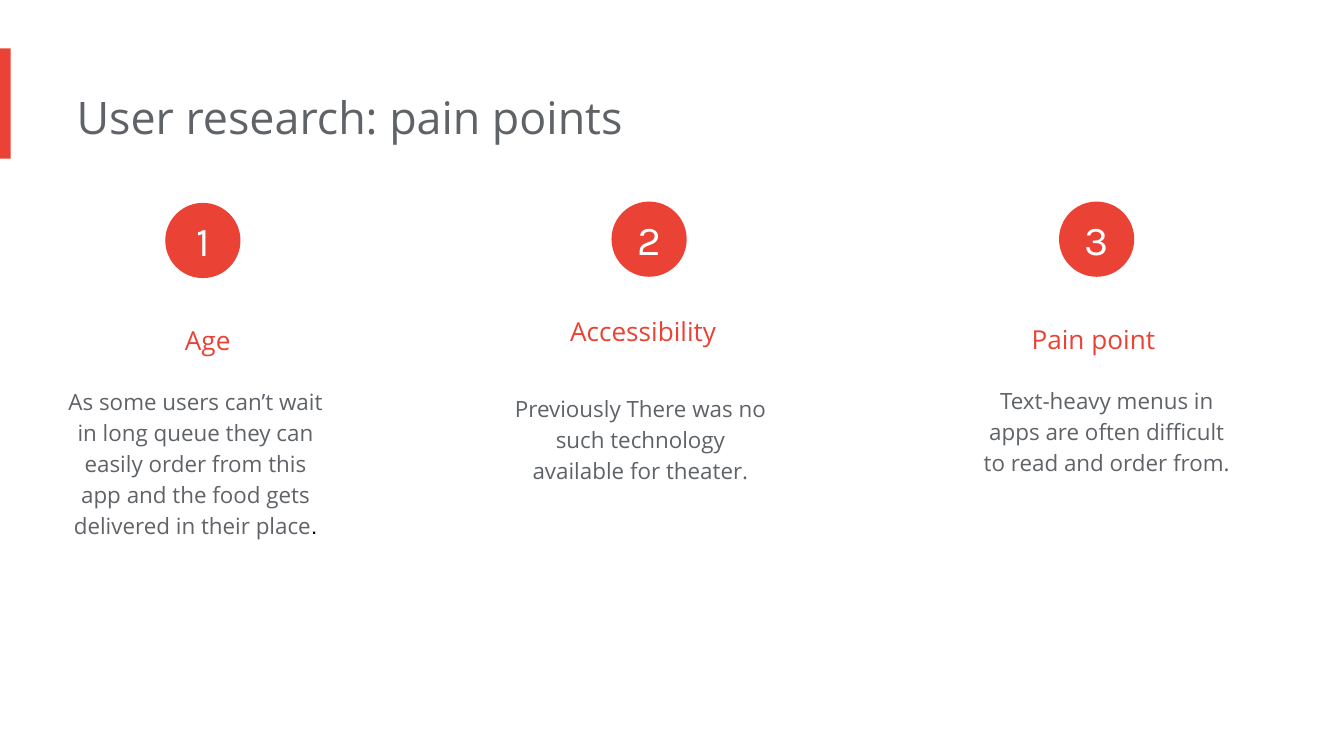
from pptx import Presentation
from pptx.dml.color import RGBColor
from pptx.enum.shapes import MSO_SHAPE as Shape
from pptx.enum.text import MSO_ANCHOR as Anchor, MSO_AUTO_SIZE as AutoSize, PP_ALIGN as Align
from pptx.util import Inches, Pt

COLORS = {"accent": "EA4335", "body": "5F6368", "white": "FFFFFF", "black": "000000"}
SLIDE_WIDTH = Inches(10)
SLIDE_HEIGHT = SLIDE_WIDTH * 9 // 16
COLUMN_WIDTH = 2.05
BADGE_SIZE = 0.56

# Heading and body: text, left, top, height; badge: left, top.
PAIN_POINTS = [
    {"heading": ("Age", 0.57, 2.2, 0.56),
     "body": ("As some users can’t wait in long queue they can easily order from "
              "this app and the food gets delivered in their place", 0.48, 2.76, 1.36),
     "badge": (1.23, 1.51), "ending": "."},
    {"heading": ("Accessibility", 3.81, 2.13, 0.56),
     "body": ("Previously There was no such technology available for theater.",
              3.79, 2.81, 0.9),
     "badge": (4.55, 1.5)},
    {"heading": ("Pain point", 7.16, 2.19, 0.44),
     "body": ("Text-heavy menus in apps are often difficult to read and order from.",
              7.26, 2.75, 0.9),
     "badge": (7.88, 1.5)},
]


def apply(target, values):
    for name, value in values.items():
        setattr(target, name, value)


class SlideBuilder:
    TEXT_FRAME = {"word_wrap": True, "auto_size": AutoSize.SHAPE_TO_FIT_TEXT,
                  "margin_left": 0, "margin_top": Inches(0.1),
                  "margin_right": Inches(0.1), "margin_bottom": Inches(0.1)}
    BADGE_FRAME = {"word_wrap": True, "vertical_anchor": Anchor.MIDDLE, "margin_left": 0,
                   "margin_top": 0, "margin_right": 0, "margin_bottom": 0}
    TITLE = {"size": 24, "color": "body"}
    HEADING = {"size": 14, "color": "accent"}
    BODY = {"size": 12, "color": "body"}
    ENDING = {"size": 12, "color": "black", "font": "Arial"}
    NUMBER = {"size": 22, "color": "white", "font": "Karla"}

    def __init__(self, slide):
        self.slide = slide

    def run(self, paragraph, text, size, color, font="Open Sans"):
        run = paragraph.add_run()
        run.text = text
        apply(run.font, {"size": Pt(size), "name": font})
        run.font.color.rgb = RGBColor.from_string(COLORS[color])

    def text(self, text, left, top, width, height, style, **paragraph_format):
        box = self.slide.shapes.add_textbox(*map(Inches, (left, top, width, height)))
        apply(box.text_frame, self.TEXT_FRAME)
        paragraph = box.text_frame.paragraphs[0]
        apply(paragraph, paragraph_format)
        self.run(paragraph, text, **style)
        return paragraph

    def shape(self, kind, left, top, width, height):
        shape = self.slide.shapes.add_shape(kind, *map(Inches, (left, top, width, height)))
        shape.shadow.inherit = False
        shape.fill.solid()
        shape.fill.fore_color.rgb = RGBColor.from_string(COLORS["accent"])
        shape.line.fill.background()
        return shape

    def badge(self, number, left, top):
        circle = self.shape(Shape.OVAL, left, top, BADGE_SIZE, BADGE_SIZE)
        apply(circle.text_frame, self.BADGE_FRAME)
        paragraph = circle.text_frame.paragraphs[0]
        paragraph.alignment = Align.CENTER
        self.run(paragraph, str(number), **self.NUMBER)

    def column_text(self, text, left, top, height, style, spacing):
        return self.text(text, left, top, COLUMN_WIDTH, height, style,
                         alignment=Align.CENTER, line_spacing=spacing)

    def pain_point(self, number, heading, body, badge, ending=""):
        self.column_text(*heading, self.HEADING, 1.5)
        body_paragraph = self.column_text(*body, self.BODY, 1.15)
        if ending:
            self.run(body_paragraph, ending, **self.ENDING)
        self.badge(number, *badge)


def main():
    deck = Presentation()
    apply(deck, {"slide_width": SLIDE_WIDTH, "slide_height": SLIDE_HEIGHT})
    builder = SlideBuilder(deck.slides.add_slide(deck.slide_layouts[6]))
    builder.shape(Shape.RECTANGLE, 0, 0.36, 0.08, 0.82)
    builder.text("User research: pain points", 0.57, 0.57, 6.73, 0.61, builder.TITLE)
    for number, point in enumerate(PAIN_POINTS, 1):
        builder.pain_point(number, **point)
    deck.save("out.pptx")


if __name__ == "__main__":
    main()
